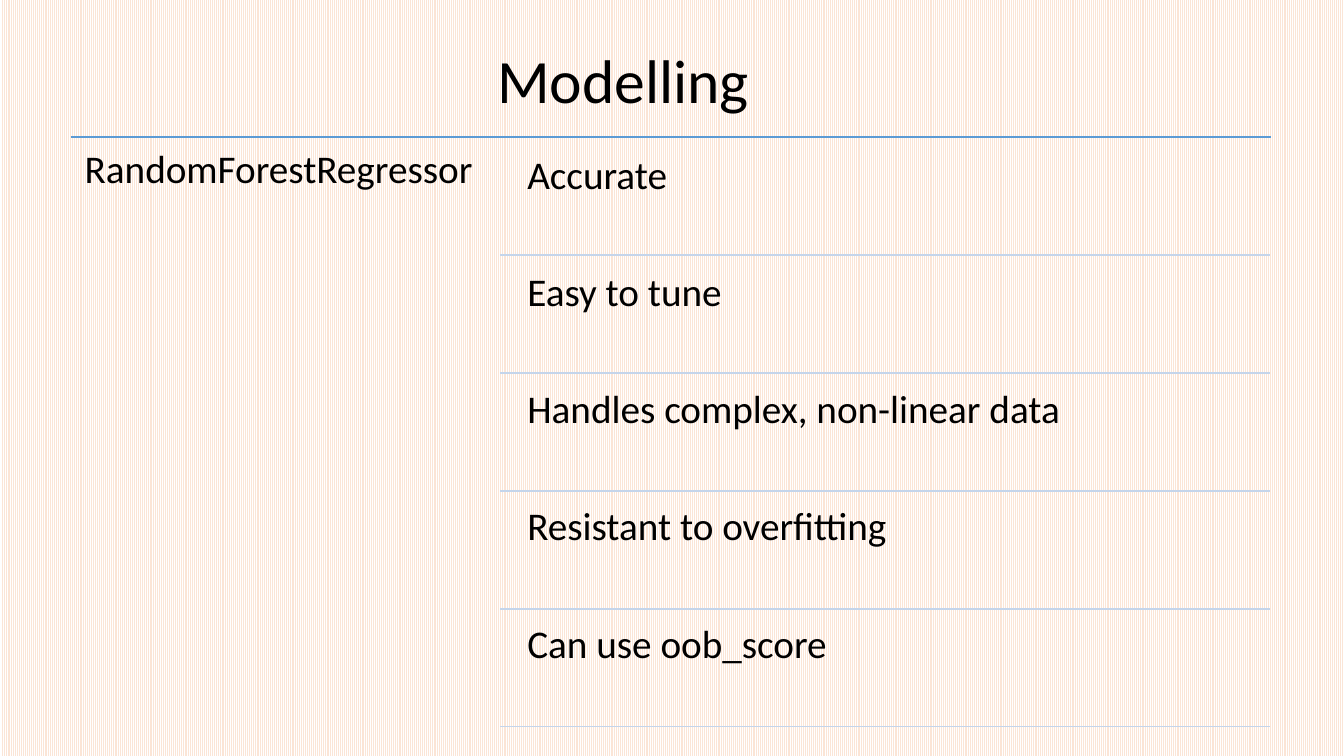
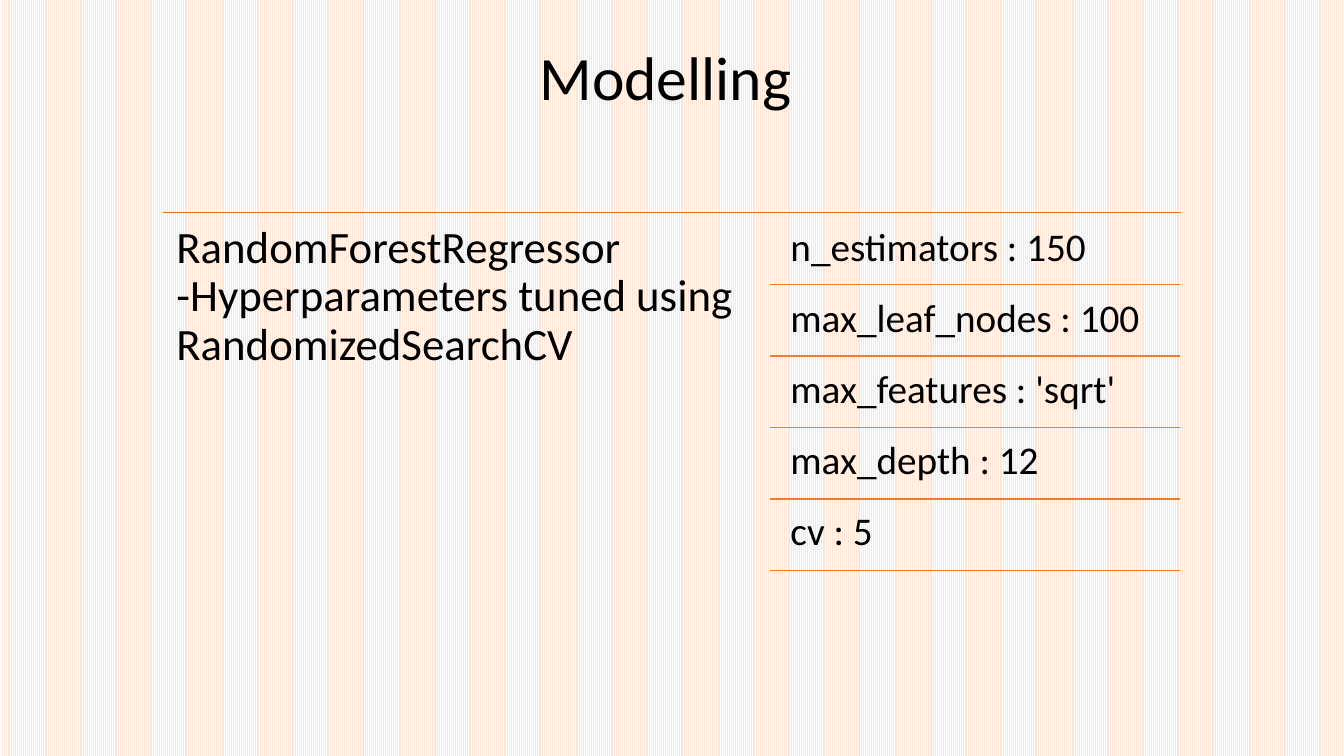
from lxml import etree
from pptx import Presentation
from pptx.dml.color import RGBColor
from pptx.enum.dml import MSO_PATTERN
from pptx.enum.shapes import MSO_CONNECTOR
from pptx.enum.text import MSO_ANCHOR, MSO_AUTO_SIZE, PP_ALIGN
from pptx.oxml.ns import qn
from pptx.util import Inches, Pt

LINE = MSO_CONNECTOR.STRAIGHT
TOP = MSO_ANCHOR.TOP
FIXED = MSO_AUTO_SIZE.NONE
LEFT = PP_ALIGN.LEFT
STRIPES = MSO_PATTERN.NARROW_VERTICAL

FONT = "Calibri"
INK = "000000"
SIZE = 28  # list text, points
TIGHT = 0.9
ROW = SIZE * 1.22 * TIGHT  # height of one list line, points


def color(code):
    return RGBColor.from_string(code)


def write(shape, box, text, size, inset, tight=None):
    """Place a shape and fill it with plain left-aligned text."""
    shape.left, shape.top, shape.width, shape.height = map(Inches, box)
    frame = shape.text_frame
    frame.text = text
    frame.word_wrap = True
    frame.auto_size = FIXED
    frame.vertical_anchor = TOP
    frame.margin_left = frame.margin_right = Inches(inset)
    frame.margin_top = frame.margin_bottom = Inches(min(inset, 0.12) if tight else 0.05)
    for para in frame.paragraphs:
        para.alignment = LEFT
        para.space_before = Pt(0)
        para.line_spacing = tight
        for run in para.runs:
            run.font.name = FONT
            run.font.size = Pt(size)
            run.font.color.rgb = color(INK)
    return frame


pages = [
    {
        "title": (4.83, 0.37, 3.58, 0.84),
        "label": "RandomForestRegressor",
        "side": (0.72, 1.36, 4.26, 5.93),
        "size": 28,
        "inset": 0.12,
        "head": (0.7, 12.61, 1.36, "5B9BD5"),
        "rule": (4.96, 12.6, "C4D5EB"),
        "list": (5.11, 1.42, 7.49),
        "pitch": 1.17,
        "items": ["Accurate", "Easy to tune", "Handles complex, non-linear data",
                  "Resistant to overfitting", "Can use oob_score"],
    },
    {
        "title": (5.25, 0.34, 3.42, 0.84),
        "label": "RandomForestRegressor\v-Hyperparameters tuned using RandomizedSearchCV",
        "side": (1.62, 2.11, 6.02, 3.58),
        "size": 32,
        "inset": 0.13,
        "head": (1.62, 11.71, 2.11, "D7712C"),
        "rule": (7.64, 11.7, "ED7D31"),
        "list": (7.72, 2.14, 3.98),
        "pitch": 0.71,
        "items": ["n_estimators : 150", "max_leaf_nodes : 100",
                  "max_features : 'sqrt'", "max_depth : 12", "cv : 5"],
    },
]

prs = Presentation()
prs.slide_width = Inches(13.33)
prs.slide_height = Inches(7.5)

# Striped background shared by all slides
fill = prs.slide_master.background.fill
fill.patterned()
fill.pattern = STRIPES
fill.fore_color.rgb = color("FBE5D6")
fill.back_color.rgb = color("FFFFFF")

for page in pages:
    slide = prs.slides.add_slide(prs.slide_layouts[1])
    shapes = slide.shapes

    # Title and left label
    write(shapes.title, page["title"], "Modelling", 44, 0.1)
    label = shapes.add_textbox(0, 0, 0, 0)
    write(label, page["side"], page["label"], page["size"], page["inset"], TIGHT)

    # List, one item per ruled row
    x, y, width = page["list"]
    pitch, items = page["pitch"], page["items"]
    box = (x, y, width, pitch * len(items))
    frame = write(slide.placeholders[1], box, "\n".join(items), SIZE, 0.12, TIGHT)
    for para in frame.paragraphs:
        para.space_after = Pt(round(pitch * 72 - ROW, 1))
        props = para._p.get_or_add_pPr()
        props.set("marL", "0")
        props.set("indent", "0")
        etree.SubElement(props, qn("a:buNone"))

    # Head rule, then a rule below each row
    start, end, head, tone = page["head"]
    rules = [(start, end, head, tone)]
    start, end, tone = page["rule"]
    for row in range(1, len(items) + 1):
        rules.append((start, end, head + row * pitch, tone))
    for start, end, y, tone in rules:
        rule = shapes.add_connector(LINE, Inches(start), Inches(y), Inches(end), Inches(y))
        rule.line.color.rgb = color(tone)
        rule.line.width = Pt(1)
        etree.SubElement(rule._element.spPr, qn("a:effectLst"))

prs.save("out.pptx")
